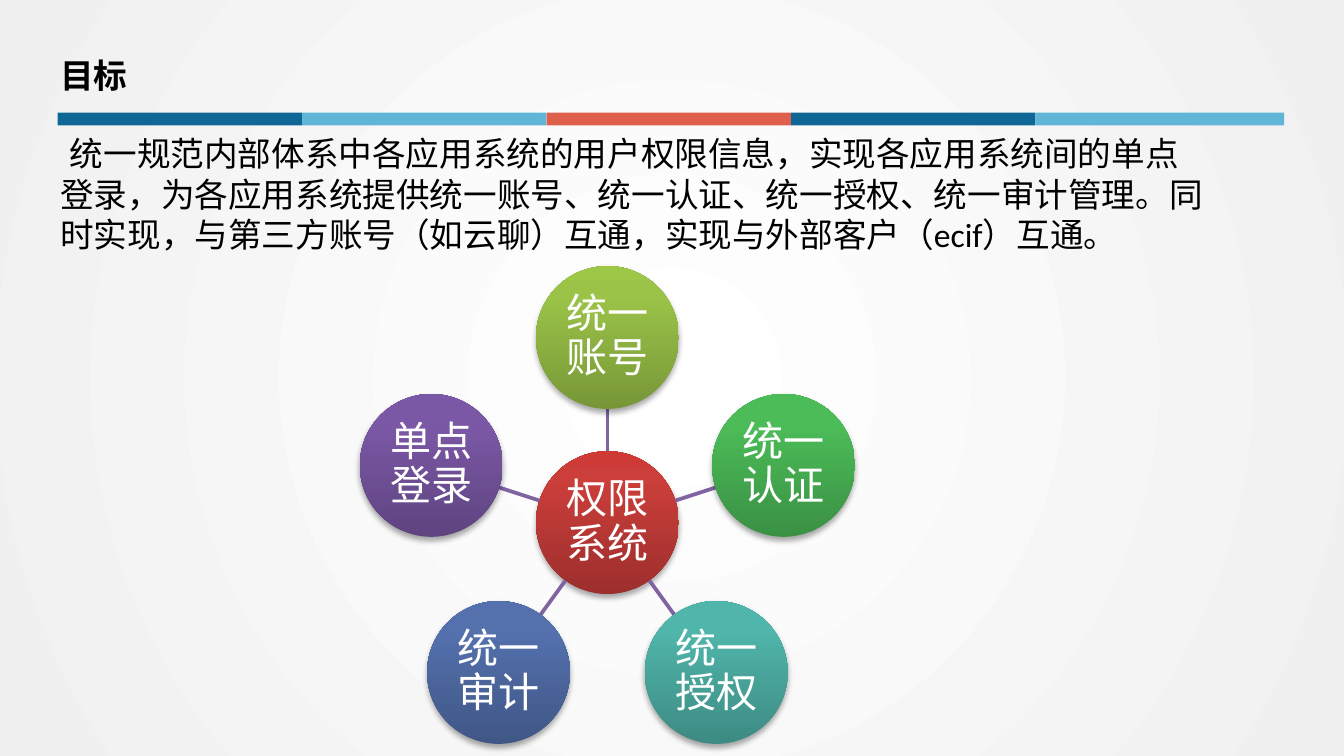
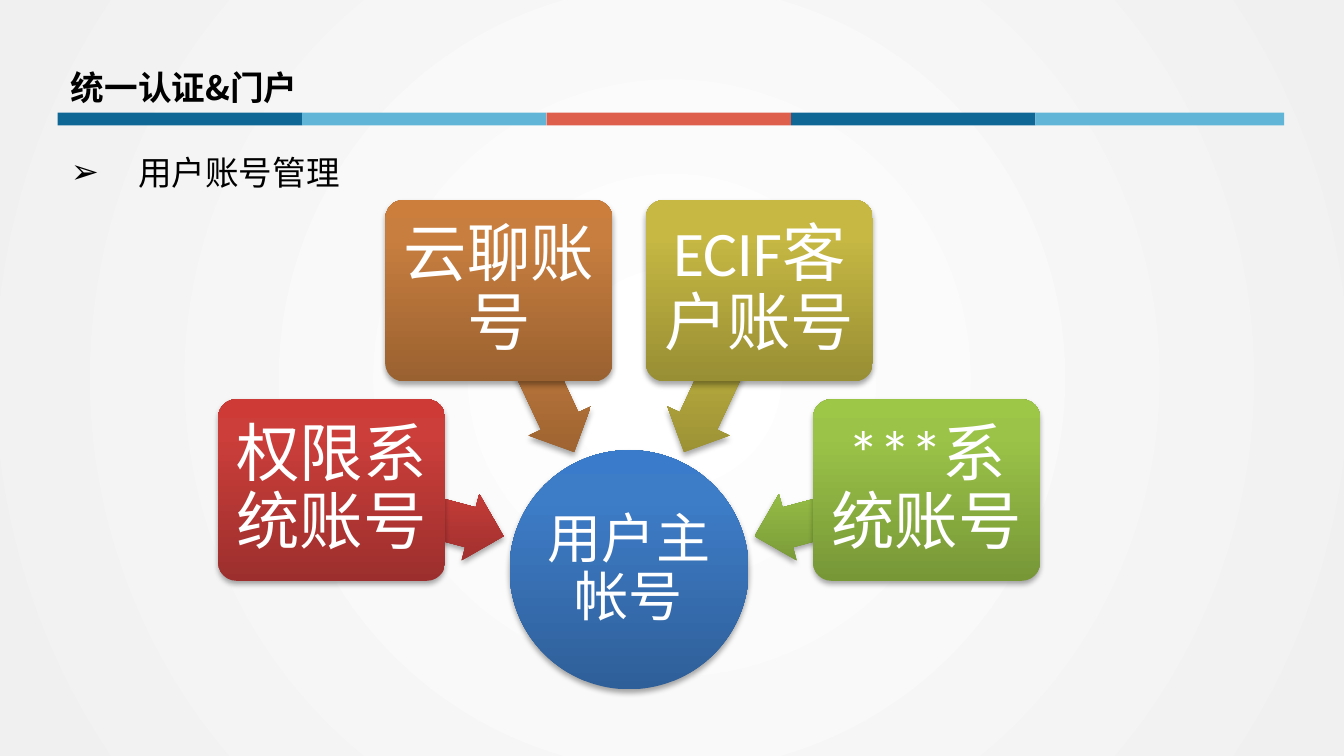
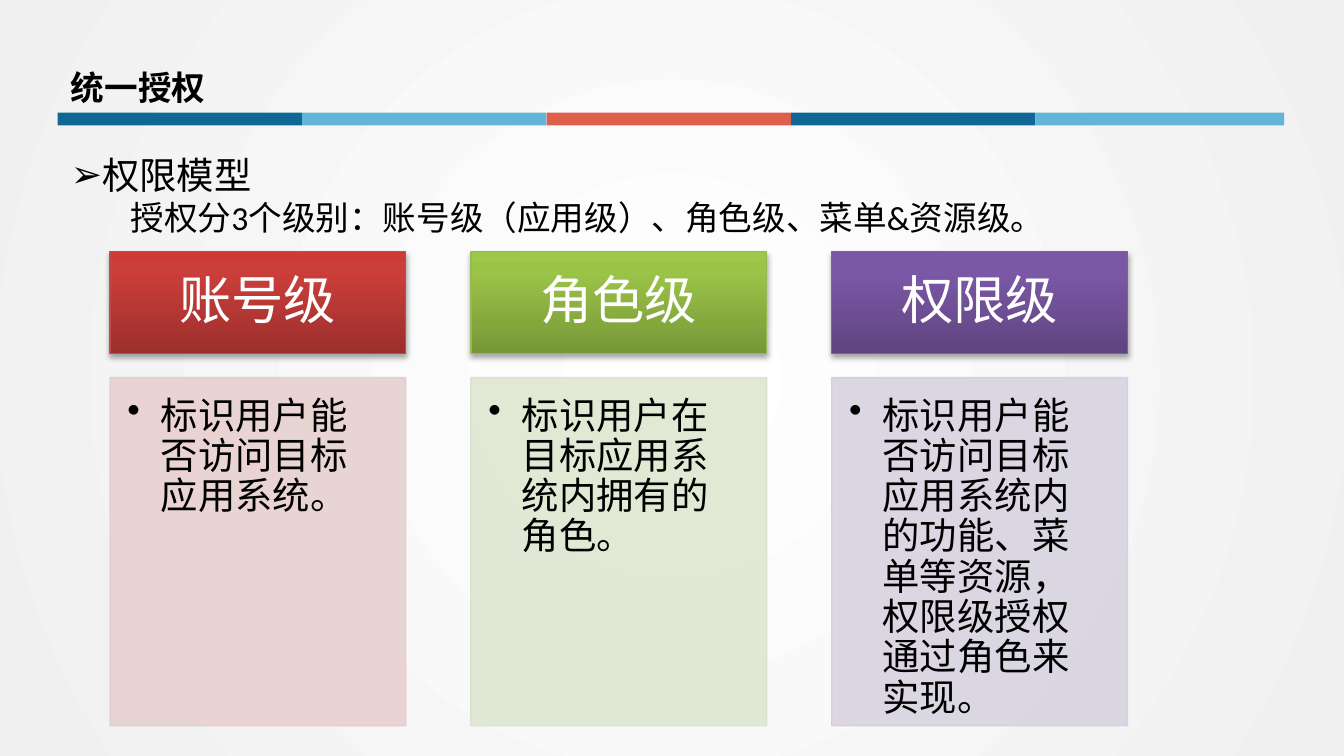
from dataclasses import dataclass
from math import cos, radians, sin

from lxml import etree
from pptx import Presentation
from pptx.dml.color import RGBColor
from pptx.enum.lang import MSO_LANGUAGE_ID
from pptx.enum.shapes import MSO_CONNECTOR, MSO_SHAPE
from pptx.enum.text import MSO_ANCHOR, MSO_AUTO_SIZE, PP_ALIGN
from pptx.oxml import parse_xml
from pptx.oxml.ns import nsdecls, qn
from pptx.util import Cm, Pt

RECT, ROUND = MSO_SHAPE.RECTANGLE, MSO_SHAPE.ROUNDED_RECTANGLE
OVAL, ARROW = MSO_SHAPE.OVAL, MSO_SHAPE.LEFT_ARROW
STRAIGHT = MSO_CONNECTOR.STRAIGHT
LEFT, CENTER = PP_ALIGN.LEFT, PP_ALIGN.CENTER
TOP, MIDDLE = MSO_ANCHOR.TOP, MSO_ANCHOR.MIDDLE
GROW = MSO_AUTO_SIZE.SHAPE_TO_FIT_TEXT
CHINESE = MSO_LANGUAGE_ID.SIMPLIFIED_CHINESE


@dataclass(frozen=True)
class Theme:
    latin: str = "Calibri"
    chinese: str = "Noto Sans CJK SC"
    ink: str = "000000"
    white: str = "FFFFFF"
    spoke: str = "8064A2"
    bands: tuple = ("0F6796", "61B6D8", "DD5F4C", "0F6796", "61B6D8")
    backdrop: tuple = ((2, "FFFFFF"), (100, "F0F0F0"))
    title: int = 18
    text: int = 18
    lead: int = 20
    node: int = 22
    header: int = 28
    hub: int = 29
    box: int = 34


T = Theme()
GRADIENTS = {
    "red": ("9C2F2D", "CB3E3A", "CE3B37"),
    "lime": ("779737", "9BC348", "9DC746"),
    "green": ("3A9144", "4CBC58", "4ABF57"),
    "teal": ("3D8B83", "50B5AA", "4EB8AC"),
    "indigo": ("405786", "5471AE", "5271B0"),
    "purple": ("5F4480", "7B58A6", "7C57A8"),
    "blue": ("2F5F99", "3D7CC7", "3A7CCB"),
    "brown": ("9A6130", "C87E3F", "CC7E3C"),
    "gold": ("988E34", "C6B843", "C9BB41"),
}

# Content: paragraphs are (text, style)
GOAL = [(
    "统一规范内部体系中各应用系统的用户权限信息，实现各应用系统间的单点登录，"
    "为各应用系统提供统一账号、统一认证、统一授权、统一审计管理。"
    "同时实现，与第三方账号（如云聊）互通，实现与外部客户（ecif）互通。",
    dict(size=T.text, indent=0.18))]
GOAL_HUB = ("权限系统", "red")
GOAL_NODES = [("统一账号", "lime"), ("统一认证", "green"), ("统一授权", "teal"),
              ("统一审计", "indigo"), ("单点登录", "purple")]

ACCOUNTS = [("用户账号管理", dict(size=T.text, margin=1.27, indent=-1.27, bullet="➢"))]
ACCOUNT_HUB = ("用户主帐号", "blue")
ACCOUNT_BOXES = [("权限系统账号", "red"), ("云聊账号", "brown"),
                 ("ECIF客户账号", "gold"), ("***系统账号", "lime")]

MODEL = [
    ("权限模型", dict(size=T.lead, bullet="➢")),
    ("授权分3个级别：账号级（应用级）、角色级、菜单&资源级。", dict(size=T.text, indent=1.13)),
]
# heading, gradient, heading line, panel fill, panel line, description
LEVELS = [
    ("账号级", "red", "BF4C48", "E8D0D0", "E3CBCB", "标识用户能否访问目标应用系统。"),
    ("角色级", "lime", "98B955", "DEE7D1", "D9E2CC", "标识用户在目标应用系统内拥有的角色。"),
    ("权限级", "purple", "7D60A0", "D8D3E0", "D3CEDB",
     "标识用户能否访问目标应用系统内的功能、菜单等资源，权限级授权通过角色来实现。"),
]


def rgb(value):
    return RGBColor.from_string(value)


def place(sp, left, top, width, height):
    for name, value in dict(left=left, top=top, width=width, height=height).items():
        setattr(sp, name, Cm(value))


def set_gradient(owner, fill, stops, direction):
    """Fill with (percent, colour) stops; direction is the closing XML element."""
    fill.gradient()
    grad = owner.element.find(".//" + qn("a:gradFill"))
    marks = "".join(f'<a:gs pos="{pos * 1000}"><a:srgbClr val="{color}"/></a:gs>'
                    for pos, color in stops)
    grad.getparent().replace(grad, parse_xml(
        f'<a:gradFill {nsdecls("a")} rotWithShape="0"><a:gsLst>{marks}</a:gsLst>'
        f'{direction}</a:gradFill>'))


def format_paragraph(p, text, size, color=T.ink, bold=False, latin=T.latin,
                     align=LEFT, spacing=1.0, margin=0, indent=0, bullet=None):
    for name, value in dict(alignment=align, line_spacing=spacing,
                            space_before=Pt(0), space_after=Pt(0)).items():
        setattr(p, name, value)
    pPr = p._p.get_or_add_pPr()
    pPr.set("marL", str(Cm(margin)))
    pPr.set("indent", str(Cm(indent)))
    if bullet:
        etree.SubElement(pPr, qn("a:buChar")).set("char", bullet)
    else:
        etree.SubElement(pPr, qn("a:buNone"))
    r = p.add_run()
    r.text = text
    for name, value in dict(size=Pt(size), bold=bold, name=latin,
                            language_id=CHINESE).items():
        setattr(r.font, name, value)
    r.font.color.rgb = rgb(color)
    etree.SubElement(r.font._element, qn("a:ea")).set("typeface", T.chinese)


def write(sp, paragraphs, anchor=TOP, insets=(0.25, 0.13, 0.25, 0.13),
          wrap=True, auto_size=None):
    tf = sp.text_frame
    sides = ("margin_left", "margin_top", "margin_right", "margin_bottom")
    for name, value in zip(sides, insets):
        setattr(tf, name, Cm(value))
    for name, value in dict(vertical_anchor=anchor, word_wrap=wrap,
                            auto_size=auto_size).items():
        setattr(tf, name, value)
    for i, (text, style) in enumerate(paragraphs):
        p = tf.add_paragraph() if i else tf.paragraphs[0]
        format_paragraph(p, text, **style)


def add_flat(slide, box, fill, line=None):
    sp = slide.shapes.add_shape(RECT, *map(Cm, box))
    sp.shadow.inherit = False
    sp.fill.solid()
    sp.fill.fore_color.rgb = rgb(fill)
    set_line(sp, line)
    return sp


def set_line(sp, color):
    if color:
        sp.line.color.rgb = rgb(color)
        sp.line.width = Pt(0.75)
    else:
        sp.line.fill.background()


def add_glossy(slide, kind, center, size, tone, line=None):
    """Shape around a centre, with a vertical gradient and a soft shadow."""
    (x, y), (w, h) = center, size
    sp = slide.shapes.add_shape(kind, Cm(x - w / 2), Cm(y - h / 2), Cm(w), Cm(h))
    set_gradient(sp, sp.fill, zip((0, 80, 100), GRADIENTS[tone]),
                 '<a:lin ang="16200000" scaled="0"/>')
    set_line(sp, line)
    sp.shadow.inherit = False
    sp.element.spPr.find(qn("a:effectLst")).append(parse_xml(
        f'<a:outerShdw {nsdecls("a")} blurRad="40000" dist="23000" dir="5400000" '
        'rotWithShape="0"><a:srgbClr val="000000"><a:alpha val="35000"/></a:srgbClr>'
        '</a:outerShdw>'))
    return sp


def label(sp, text, size, insets):
    style = dict(size=size, color=T.white, align=CENTER, spacing=0.9)
    write(sp, [(text, style)], MIDDLE, insets)


def on_circle(center, radius, degrees):
    angle = radians(degrees)
    return center[0] + radius * cos(angle), center[1] + radius * sin(angle)


def add_slide(prs, title, title_pos, paragraphs, body_box, wrap=True):
    slide = prs.slides.add_slide(prs.slide_layouts[1])
    head, body = slide.placeholders
    place(head, *title_pos, 21.16, 1.02)
    write(head, [(title, dict(size=T.title, bold=True, latin=T.chinese))], auto_size=GROW)
    place(body, *body_box)
    write(body, paragraphs, wrap=wrap, auto_size=GROW)
    return slide


def dress_master(prs, slide):
    """Give the master its background and the row of bands, built on a slide first."""
    master = prs.slide_master
    set_gradient(master, master.background.fill, T.backdrop,
                 '<a:path path="circle"><a:fillToRect l="50000" t="50000" '
                 'r="50000" b="50000"/></a:path>')
    left, width, last = 1.09, 4.62, len(T.bands) - 1
    for i, color in enumerate(T.bands):
        box = (left + i * width, 2.13, 4.7 if i == last else width, 0.24)
        sp = add_flat(slide, box, color)
        sp.element.nvSpPr.cNvPr.set("id", str(20 + i))
        master.shapes.element.insert(2 + i, sp.element)


def draw_goal(slide):
    center, orbit, size = (11.48, 9.88), 3.5, 2.7
    insets = (0.05,) * 4
    hub, tone = GOAL_HUB
    label(add_glossy(slide, OVAL, center, (size, size), tone), hub, T.node, insets)
    for i, (text, tone) in enumerate(GOAL_NODES):
        angle = -90 + i * 360 / len(GOAL_NODES)
        start = on_circle(center, size / 2, angle)
        end = on_circle(center, orbit - size / 2, angle)
        line = slide.shapes.add_connector(STRAIGHT, *map(Cm, start + end))
        line.line.color.rgb = rgb(T.spoke)
        line.line.width = Pt(2)
        etree.SubElement(line.element.spPr, qn("a:effectLst"))
        node = add_glossy(slide, OVAL, on_circle(center, orbit, angle), (size, size), tone)
        label(node, text, T.node, insets)


def draw_accounts(slide):
    center = (11.89, 10.77)
    hub, tone = ACCOUNT_HUB
    label(add_glossy(slide, OVAL, center, (4.52, 4.52), tone), hub, T.hub, (0.05,) * 4)
    for i, (text, tone) in enumerate(ACCOUNT_BOXES):
        angle = 195 + 50 * i
        arrow = add_glossy(slide, ARROW, on_circle(center, 4.13, angle), (3.35, 1.3), tone)
        arrow.rotation = angle
        arrow.adjustments[0], arrow.adjustments[1] = 0.6, 0.5
        box = add_glossy(slide, ROUND, on_circle(center, 5.82, angle), (4.29, 3.43), tone)
        box.adjustments[0] = 0.1
        label(box, text, T.box, (0.18,) * 4)


def draw_levels(slide):
    left, pitch, width = 2.08, 6.82, 5.59
    for i, (name, tone, edge, fill, line, text) in enumerate(LEVELS):
        x = left + i * pitch
        head = add_glossy(slide, RECT, (x + width / 2, 5.72), (width, 1.93), tone, edge)
        label(head, name, T.header, (0.55, 0.31, 0.55, 0.31))
        panel = add_flat(slide, (x, 7.14, width, 6.58), fill, line)
        for color in panel.element.spPr.iter(qn("a:srgbClr")):
            etree.SubElement(color, qn("a:alpha")).set("val", "90000")
        style = dict(size=T.lead, spacing=0.9, margin=0.63, indent=-0.63, bullet="•")
        write(panel, [(text, style)], insets=(0.33, 0.36, 0.43, 0.45))


def main():
    prs = Presentation()
    prs.slide_width, prs.slide_height = Cm(25.4), Cm(14.29)
    goal = add_slide(prs, "目标", (0.89, 0.91), GOAL, (0.89, 2.39, 22.2, 2.64))
    dress_master(prs, goal)
    draw_goal(goal)
    title_pos = (1.09, 1.14)
    draw_accounts(add_slide(prs, "统一认证&门户", title_pos, ACCOUNTS,
                            (1.09, 2.74, 5.64, 1.02), wrap=False))
    draw_levels(add_slide(prs, "统一授权", title_pos, MODEL, (1.09, 2.74, 22.96, 1.88)))
    prs.save("out.pptx")


if __name__ == "__main__":
    main()
